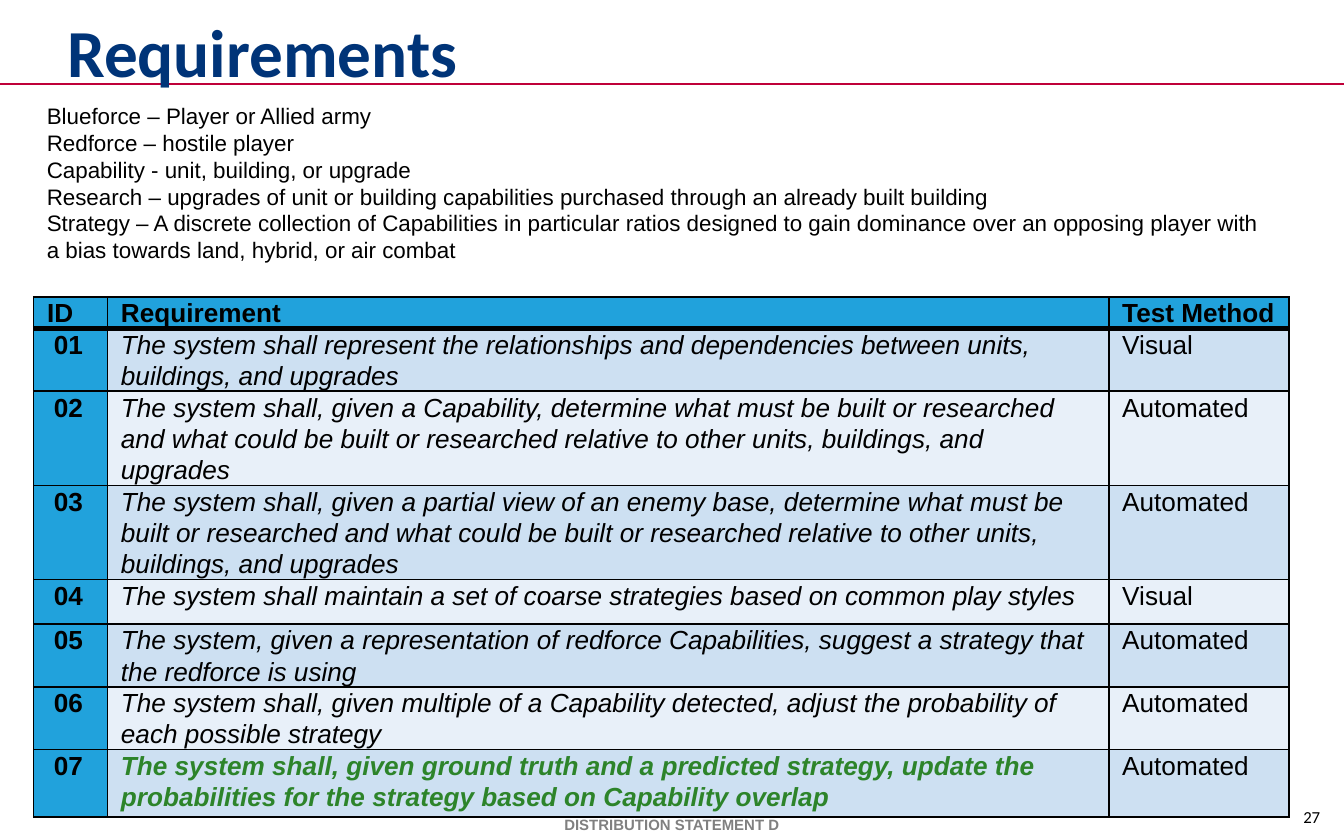
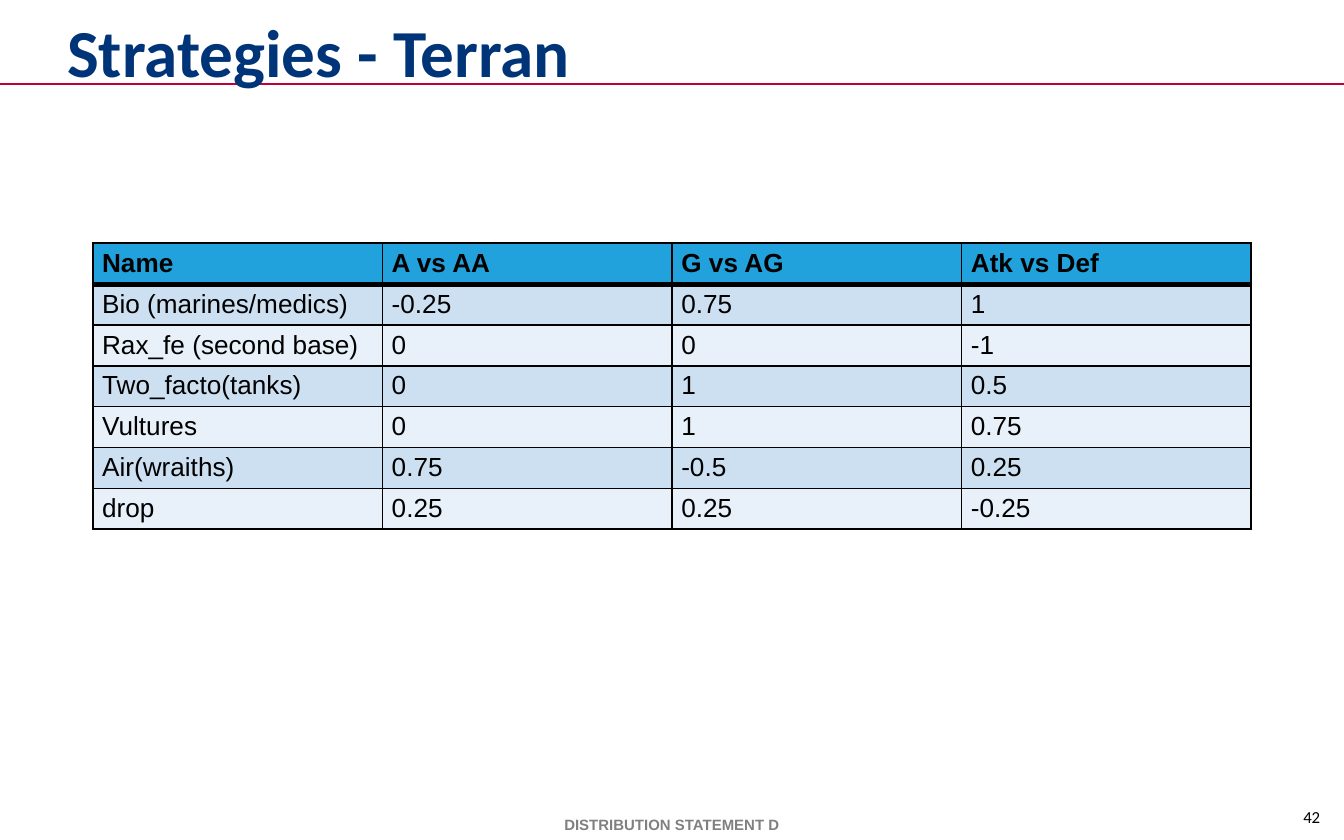
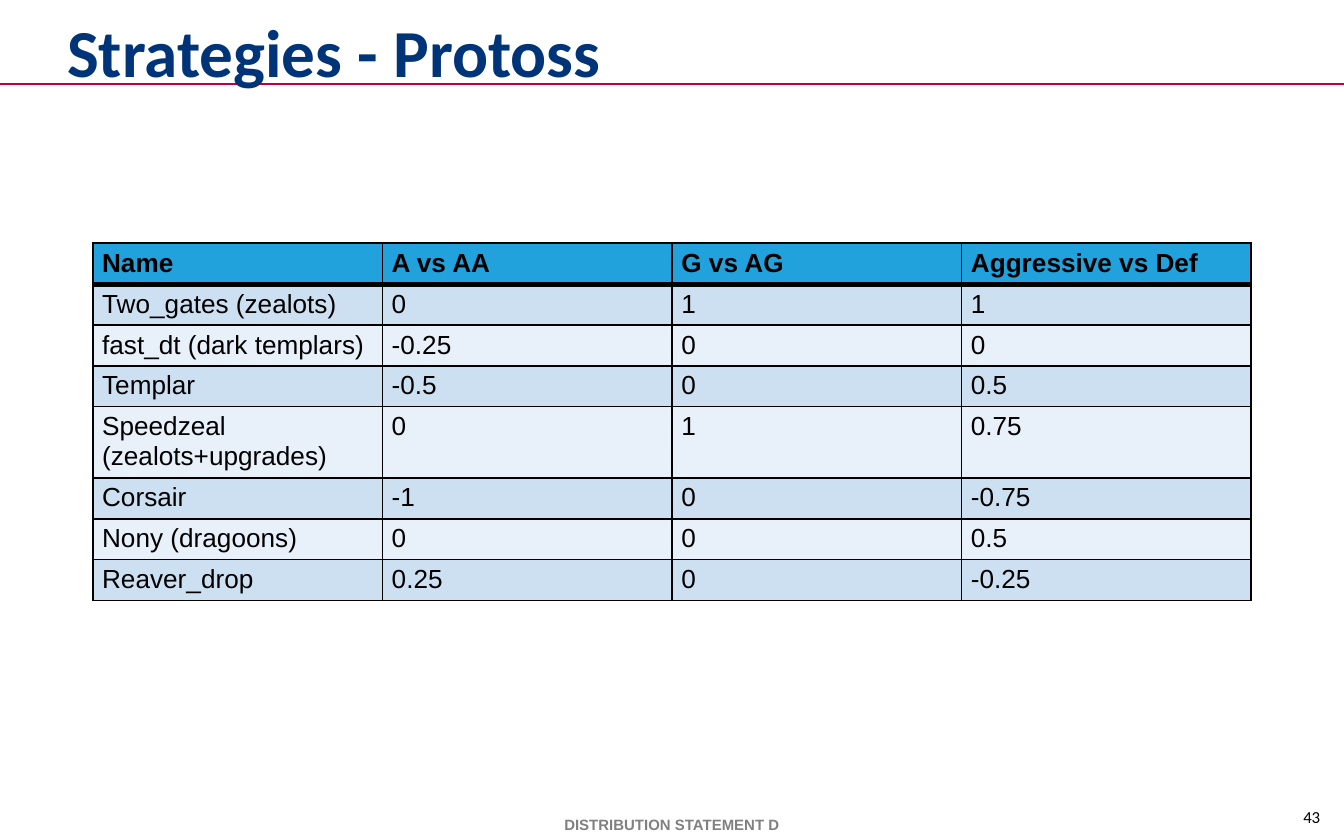
"""Builds three slides on strategy requirements and strategy scores."""
from lxml import etree
from pptx import Presentation
from pptx import util as u
from pptx.dml.color import RGBColor
from pptx.enum import shapes, text
from pptx.oxml import ns

COLS, ROWS = 10, 6.25
NAVY = RGBColor(0x00, 0x34, 0x78)
RED = RGBColor(0xBF, 0x00, 0x39)
BLACK = RGBColor(0x00, 0x00, 0x00)
GREY = RGBColor(0x80, 0x80, 0x80)
GREEN = RGBColor(0x2D, 0x84, 0x2A)
HEAD = RGBColor(0x21, 0xA2, 0xDC)
BANDS = RGBColor(0xCD, 0xE0, 0xF2), RGBColor(0xE8, 0xF0, 0xF9)

TERMS = [
    "Blueforce – Player or Allied army",
    "Redforce – hostile player",
    "Capability - unit, building, or upgrade",
    "Research – upgrades of unit or building capabilities purchased "
    "through an already built building",
    "Strategy – A discrete collection of Capabilities in particular ratios "
    "designed to gain dominance over an opposing player with a bias "
    "towards land, hybrid, or air combat",
]
NEEDS = [
    ("ID", "Requirement", "Test Method"),
    ("01", "The system shall represent the relationships and dependencies "
     "between units, buildings, and upgrades", "Visual"),
    ("02", "The system shall, given a Capability, determine what must be built "
     "or researched and what could be built or researched relative to other "
     "units, buildings, and upgrades", "Automated"),
    ("03", "The system shall, given a partial view of an enemy base, determine "
     "what must be built or researched and what could be built or researched "
     "relative to other units, buildings, and upgrades", "Automated"),
    ("04", "The system shall maintain a set of coarse strategies based on "
     "common play styles", "Visual"),
    ("05", "The system, given a representation of redforce Capabilities, "
     "suggest a strategy that the redforce is using", "Automated"),
    ("06", "The system shall, given multiple of a Capability detected, adjust "
     "the probability of each possible strategy", "Automated"),
    ("07", "The system shall, given ground truth and a predicted strategy, "
     "update the probabilities for the strategy based on Capability overlap",
     "Automated"),
]
TERRAN = [
    ("Name", "A vs AA", "G vs AG", "Atk vs Def"),
    ("Bio (marines/medics)", "-0.25", "0.75", "1"),
    ("Rax_fe (second base)", "0", "0", "-1"),
    ("Two_facto(tanks)", "0", "1", "0.5"),
    ("Vultures", "0", "1", "0.75"),
    ("Air(wraiths)", "0.75", "-0.5", "0.25"),
    ("drop", "0.25", "0.25", "-0.25"),
]
PROTOSS = [
    ("Name", "A vs AA", "G vs AG", "Aggressive vs Def"),
    ("Two_gates (zealots)", "0", "1", "1"),
    ("fast_dt (dark templars)", "-0.25", "0", "0"),
    ("Templar", "-0.5", "0", "0.5"),
    ("Speedzeal (zealots+upgrades)", "0", "1", "0.75"),
    ("Corsair", "-1", "0", "-0.75"),
    ("Nony (dragoons)", "0", "0", "0.5"),
    ("Reaver_drop", "0.25", "0", "-0.25"),
]


def grid(*cells):
    """Turn grid units into lengths."""
    return [u.Inches(c) for c in cells]


def style(frame, size, color=BLACK, face="Arial", bold=False, slant=False):
    """Format every run of a text frame."""
    for para in frame.paragraphs:
        for run in para.runs:
            font = run.font
            font.name, font.size = face, u.Pt(size)
            font.bold, font.italic = bold, slant
            font.color.rgb = color


def pad(item, side, end):
    """Set equal side and equal end margins."""
    item.margin_left = item.margin_right = u.Inches(side)
    item.margin_top = item.margin_bottom = u.Inches(end)


def label(slide, place, words, size, side=0.1, end=0.05, center=False,
          anchor=text.MSO_ANCHOR.TOP, **look):
    """Add a wrapped text box."""
    frame = slide.shapes.add_textbox(*grid(*place)).text_frame
    frame.word_wrap = True
    frame.vertical_anchor = anchor
    pad(frame, side, end)
    frame.text = words
    if center:
        for para in frame.paragraphs:
            para.alignment = text.PP_ALIGN.CENTER
    style(frame, size, **look)


def rule(slide, row):
    """Draw a line across the slide."""
    line = slide.shapes.add_connector(
        shapes.MSO_CONNECTOR.STRAIGHT, *grid(0, row, COLS, row))
    line.line.color.rgb = RED
    line.line.width = u.Pt(1)
    etree.SubElement(line.element.spPr, ns.qn("a:effectLst"))


def start(deck, name, number):
    """Add a slide with its title, rule, footer and number."""
    slide = deck.slides.add_slide(deck.slide_layouts[5])
    label(slide, (9.52, 6, 0.48, 0.21), str(number), 9, 0, 0, True,
          face="Calibri")
    label(slide, (0, 6.02, COLS, 0.23), "DISTRIBUTION STATEMENT D", 8,
          center=True, anchor=text.MSO_ANCHOR.MIDDLE, color=GREY, bold=True)
    rule(slide, ROWS / 10)
    title = slide.shapes.title
    title.left, title.top, title.width, title.height = grid(
        0.5, 0.14, 9.01, 0.48)
    frame = title.text_frame
    frame.text = name
    frame.auto_size = text.MSO_AUTO_SIZE.NONE
    frame.vertical_anchor = text.MSO_ANCHOR.MIDDLE
    pad(frame, 0, 0)
    frame.paragraphs[0].alignment = text.PP_ALIGN.LEFT
    style(frame, 36, NAVY, "Calibri", True)
    title.element.getparent().append(title.element)
    return slide


def edge(cell, top, base):
    """Draw the four black borders of a cell."""
    props = cell._tc.get_or_add_tcPr()
    for spot, (side, width) in enumerate(
            (("L", 1), ("R", 1), ("T", top), ("B", base))):
        line = etree.Element(ns.qn("a:ln" + side), w=str(u.Pt(width)))
        fill = etree.SubElement(line, ns.qn("a:solidFill"))
        etree.SubElement(fill, ns.qn("a:srgbClr"), val=str(BLACK))
        props.insert(spot, line)


def table(slide, place, data, widths, heights, side, end):
    """Add a banded table with a heavy rule under its head."""
    frame = slide.shapes.add_table(len(data), len(widths), *grid(*place))
    body = frame.table
    for col, width in zip(body.columns, widths):
        col.width = u.Inches(width)
    for r, (values, height) in enumerate(zip(data, heights)):
        body.rows[r].height = u.Inches(height)
        for c, value in enumerate(values):
            cell = body.cell(r, c)
            cell.text = value
            pad(cell, side, end)
            cell.fill.solid()
            cell.fill.fore_color.rgb = BANDS[(r + 1) % 2] if r else HEAD
            edge(cell, 3 if r == 1 else 1, 1 if r else 3)
            style(cell.text_frame, 14, bold=not r)
    frame.height = u.Inches(place[3])
    return body


def needs(slide):
    """Add the requirement table with its ID column."""
    body = table(slide, (0.25, 2.21, 9.34, 3.83), NEEDS, (0.55, 7.45, 1.34),
                 (0.17, 0.33, 0.5, 0.5, 0.33, 0.33, 0.33, 0.5), 0.1, 0)
    last = len(NEEDS) - 1
    for r in range(len(NEEDS)):
        for cell in body.rows[r].cells:
            cell.text_frame.paragraphs[0].line_spacing = 1.07
        if r:
            code, need = body.cell(r, 0), body.cell(r, 1)
            code.margin_left = u.Inches(0.15)
            code.fill.fore_color.rgb = HEAD
            style(code.text_frame, 14, bold=True)
            style(need.text_frame, 14, GREEN if r == last else BLACK,
                  bold=r == last, slant=True)
    body.cell(0, 2).margin_right = u.Inches(0.08)


def scores(slide, data, height, tall=None):
    """Add a table of strategy scores in four equal columns."""
    heights = [0.53 if r == tall else 2.13 / 7 for r in range(len(data))]
    wide = 8.62
    table(slide, ((COLS - wide) / 2, 1.81, wide, height), data,
          [wide / 4] * 4, heights, 0.07, 0.04)


def main():
    """Build and save the deck."""
    deck = Presentation()
    deck.slide_width, deck.slide_height = grid(COLS, ROWS)
    slide = start(deck, "Requirements", 27)
    needs(slide)
    label(slide, (0.25, 0.71, 9.33, 1.31), "\n".join(TERMS), 12)
    scores(start(deck, "Strategies - Terran", 42), TERRAN, 2.16)
    scores(start(deck, "Strategies - Protoss", 43), PROTOSS, 2.7, 4)
    deck.save("out.pptx")


if __name__ == "__main__":
    main()
